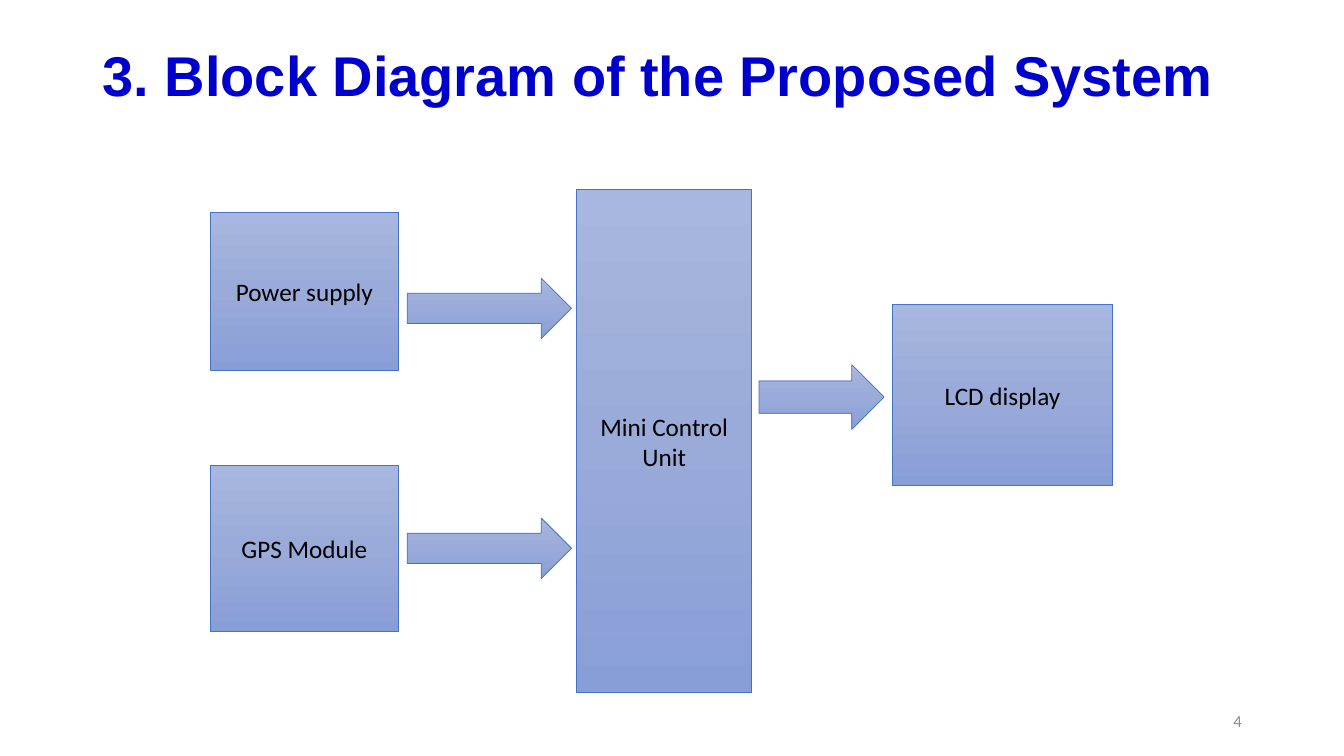
from copy import deepcopy

from pptx import Presentation
from pptx.dml.color import RGBColor
from pptx.enum.shapes import MSO_SHAPE
from pptx.enum.text import MSO_ANCHOR, MSO_AUTO_SIZE, PP_ALIGN
from pptx.util import Pt

COLORS = {
    "title": "0000CC",
    "number": "8C8C8C",
    "label": "000000",
    "outline": "4472C4",
    "top": "A8B7DF",
    "middle": "9AABD9",
    "bottom": "889ED7",
}


def write(shape, text, font, size, color, align, bold=False):
    frame = shape.text_frame
    frame.word_wrap = True
    frame.auto_size = MSO_AUTO_SIZE.NONE
    frame.vertical_anchor = MSO_ANCHOR.MIDDLE
    frame.text = text
    para = frame.paragraphs[0]
    para.alignment = align
    span = para.runs[0].font
    span.name, span.size, span.bold = font, Pt(size), bold
    span.color.rgb = RGBColor.from_string(COLORS[color])
    return para


def add_block(page, kind, left, top, width, height):
    """Add a shape with the diagram's vertical gradient and thin outline."""
    block = page.shapes.add_shape(kind, Pt(left), Pt(top), Pt(width), Pt(height))
    block.shadow.inherit = False
    block.fill.gradient()
    block.fill.gradient_angle = 270
    first = block._element.spPr.xpath("./a:gradFill/a:gsLst/a:gs")[0]
    first.addnext(deepcopy(first))
    for index, (stop, name) in enumerate(
            zip(block.fill.gradient_stops, ("top", "middle", "bottom"))):
        stop.position = index / 2
        stop.color.rgb = RGBColor.from_string(COLORS[name])
    block.line.color.rgb = RGBColor.from_string(COLORS["outline"])
    block.line.width = Pt(0.5)
    return block


deck = Presentation()
deck.slide_width, deck.slide_height = Pt(960), Pt(540)
page = deck.slides.add_slide(deck.slide_layouts[5])

title = page.shapes.title
title.left, title.top, title.width, title.height = Pt(66.2), Pt(28.8), Pt(828), Pt(54.7)
heading = write(title, "3. Block Diagram of the Proposed System",
                "Arial", 40, "title", PP_ALIGN.LEFT, bold=True)
heading.line_spacing = 0.9

number = page.shapes.add_textbox(Pt(678.2), Pt(500.4), Pt(216), Pt(28.8))
write(number, "4", "Calibri", 12, "number", PP_ALIGN.RIGHT)

boxes = [
    ("Mini Control Unit", 411.8, 135.4, 125.3, 359.3),
    ("Power supply", 150.5, 152, 133.9, 112.3),
    ("GPS Module", 150.5, 332.6, 133.9, 118.1),
    ("LCD display", 637.2, 217.4, 157.7, 129.6),
]
for label, *place in boxes:
    box = add_block(page, MSO_SHAPE.RECTANGLE, *place)
    write(box, label, "Calibri", 18, "label", PP_ALIGN.CENTER)

arrows = [
    (290.9, 198.7, 117.4, 43.2),
    (290.9, 370.1, 117.4, 43.2),
    (542.2, 260.6, 89.3, 46.1),
]
for place in arrows:
    add_block(page, MSO_SHAPE.RIGHT_ARROW, *place)

deck.save("out.pptx")
